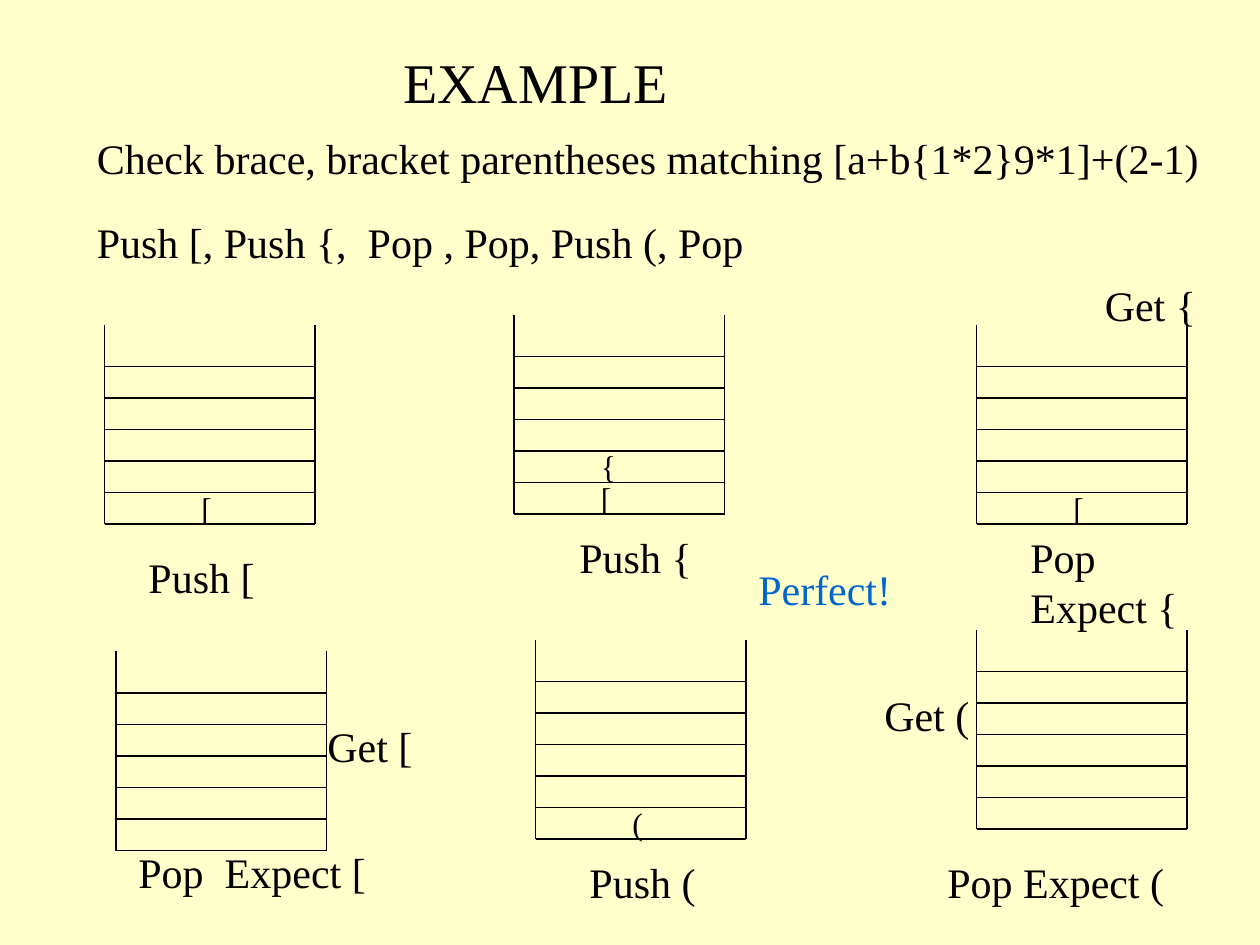
"""Build a slide that traces bracket matching on a stack."""
from dataclasses import dataclass

from lxml.etree import SubElement
from pptx import Presentation
from pptx.dml.color import RGBColor
from pptx.enum.shapes import MSO_CONNECTOR as Link
from pptx.enum.text import MSO_ANCHOR as Anchor, PP_ALIGN as Align
from pptx.oxml.ns import qn
from pptx.shapes.shapetree import GroupShapes, SlideShapes
from pptx.text.text import TextFrame
from pptx.util import Inches, Pt

FONT = "Times New Roman"
BLACK, BLUE, CREAM = "000000", "0066CC", "FFFFCC"
WIDE, TALL, ROW, ROWS = 1.67, 1.58, 0.25, 6


@dataclass
class Stack:
    left: float
    top: float
    items: str = ""
    inset: float = 0.67


@dataclass
class Label:
    text: str
    left: float
    top: float
    width: float
    height: float = 0.5
    size: int = 24
    color: str = BLACK


STACKS = [
    Stack(0.83, 2.58, "["),
    Stack(4.08, 2.5, "[{", 0.59),
    Stack(7.75, 2.58, "["),
    Stack(0.92, 5.17),
    Stack(4.25, 5.08, "("),
    Stack(7.75, 5),
]

LABELS = [
    Label("Check brace, bracket parentheses matching [a+b{1*2}9*1]+(2-1)", 0.67, 1, 9.08),
    Label("Push [, Push {,  Pop , Pop, Push (, Pop", 0.67, 1.67, 7),
    Label("Push [", 1.08, 4.33, 1.42),
    Label("Push {", 4.5, 4.17, 1.09),
    Label("Pop\nExpect {", 8.08, 4.17, 1.37, 0.9),
    Label("Pop  Expect [", 1, 6.67, 2.42),
    Label("Push (", 4.58, 6.75, 1.42),
    Label("Pop Expect (", 7.42, 6.75, 2),
    Label("Get {", 8.67, 2.17, 1),
    Label("Get [", 2.5, 5.67, 1),
    Label("Get (", 6.92, 5.42, 1),
    Label("Perfect!", 5.92, 4.42, 2.75, color=BLUE),
]


def rgb(color: str) -> RGBColor:
    return RGBColor.from_string(color)


def write(frame: TextFrame, text: str, size: int, color: str) -> None:
    frame.text = text
    for para in frame.paragraphs:
        para.alignment = Align.LEFT
        para.font.name = FONT
        para.font.size = Pt(size)
        para.font.color.rgb = rgb(color)


def add_label(shapes: SlideShapes | GroupShapes, label: Label) -> None:
    box = shapes.add_textbox(Inches(label.left), Inches(label.top),
                             Inches(label.width), Inches(label.height))
    box.text_frame.word_wrap = "\n" not in label.text and label.text != "Push {"
    write(box.text_frame, label.text, label.size, label.color)


def add_line(shapes: GroupShapes, x1: float, y1: float, x2: float, y2: float) -> None:
    line = shapes.add_connector(Link.STRAIGHT, Inches(x1), Inches(y1), Inches(x2), Inches(y2))
    line.line.color.rgb = rgb(BLACK)
    line.line.width = Pt(0.75)
    SubElement(line._element.spPr, qn("a:effectLst"))


def add_stack(shapes: SlideShapes, stack: Stack) -> None:
    group = shapes.add_group_shape().shapes
    right, base = stack.left + WIDE, stack.top + TALL
    for x in (stack.left, right):
        add_line(group, x, stack.top, x, base)
    for row in range(ROWS):
        y = base - row * ROW
        add_line(group, stack.left, y, right, y)
    for row, item in enumerate(stack.items):
        top = base - 0.33 - row * ROW
        add_label(group, Label(item, stack.left + stack.inset, top, 0.33, 0.4, 18))


def main() -> None:
    deck = Presentation()
    deck.slide_width, deck.slide_height = Inches(10), Inches(7.5)
    slide = deck.slides.add_slide(deck.slide_layouts[5])
    slide.background.fill.solid()
    slide.background.fill.fore_color.rgb = rgb(CREAM)

    title = slide.shapes.title
    title.left, title.top = Inches(2), Inches(0.33)
    title.width, title.height = Inches(5.33), Inches(0.64)
    frame = title.text_frame
    frame.margin_left = Inches(1.2)
    frame.vertical_anchor = Anchor.TOP
    write(frame, "EXAMPLE", 32, BLACK)

    for stack in STACKS:
        add_stack(slide.shapes, stack)
    for label in LABELS:
        add_label(slide.shapes, label)
    deck.save("out.pptx")


if __name__ == "__main__":
    main()
